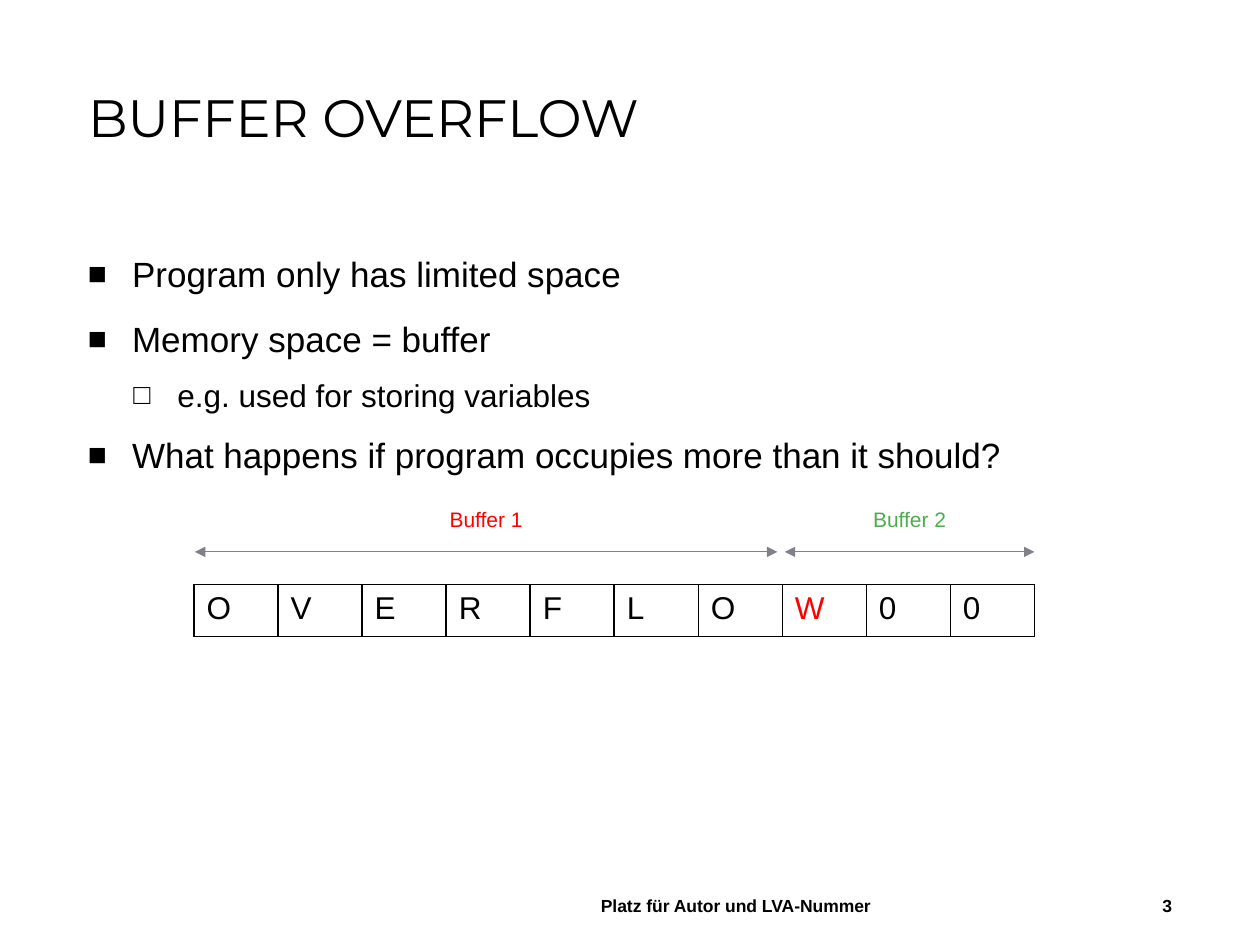
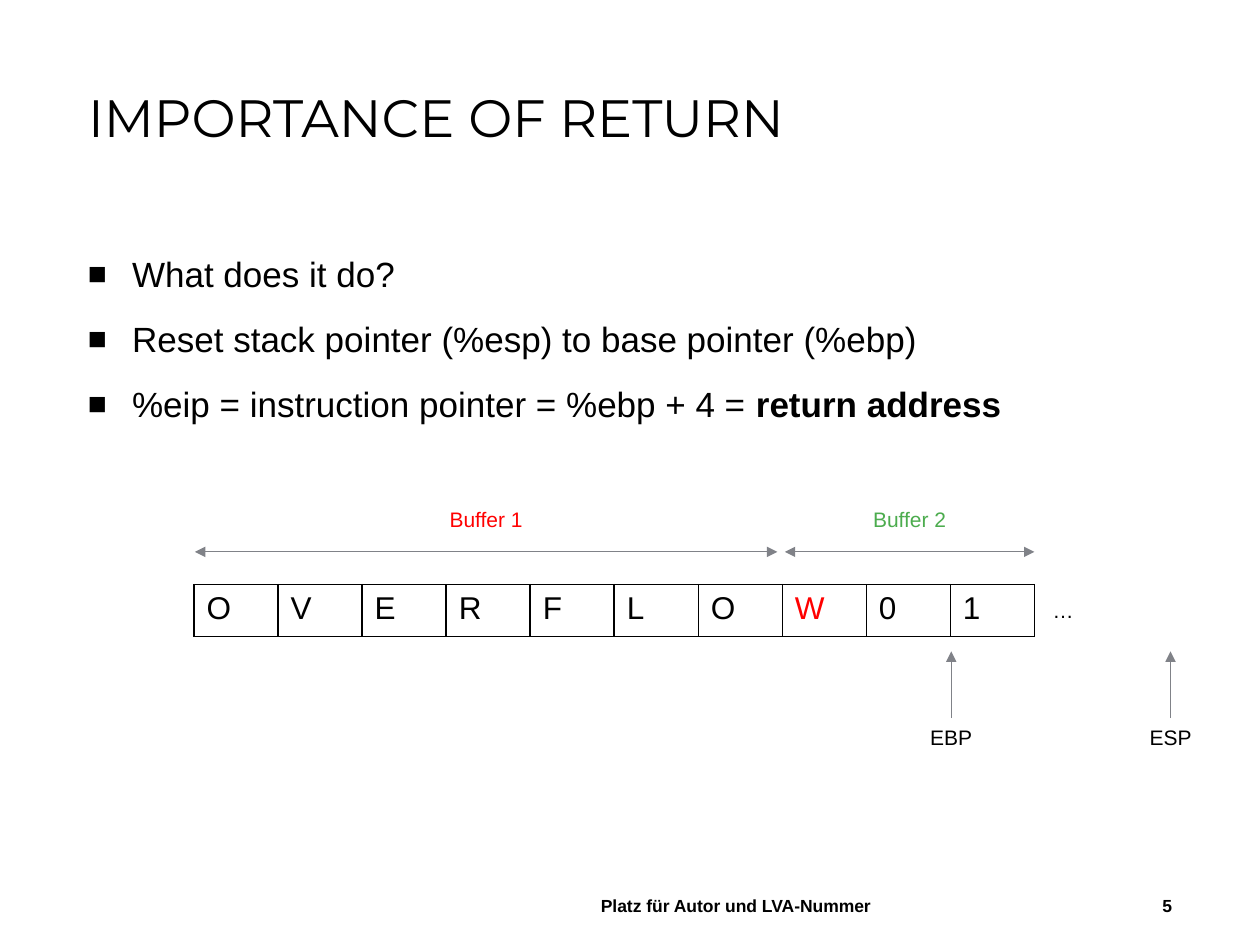
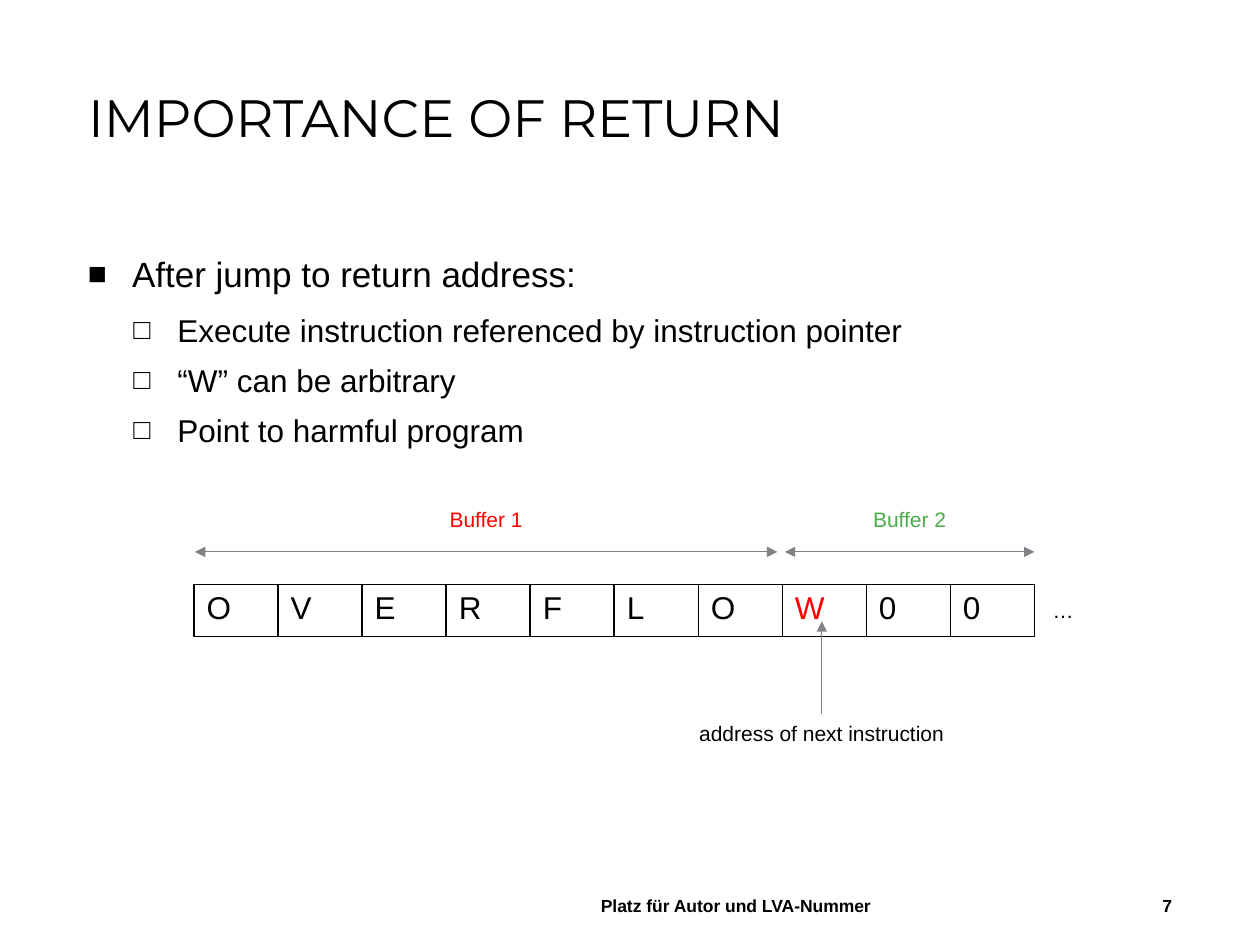
from dataclasses import dataclass

from lxml.etree import SubElement
from pptx import Presentation
from pptx.dml.color import RGBColor
from pptx.enum.shapes import MSO_CONNECTOR
from pptx.enum.text import MSO_ANCHOR as Anchor, MSO_AUTO_SIZE as AutoSize, PP_ALIGN as Align
from pptx.oxml.ns import qn
from pptx.util import Inches, Pt

WIDTH, HEIGHT = 10, 7.5
BLACK, RED, GREEN, GREY = "000000", "FF0000", "4CAC4E", "808288"
BODY_FONT, TITLE_FONT = "Arial", "Montserrat"
FOOTER = "Platz für Autor und LVA-Nummer"

# The memory row is a grid of ten cells
MEMORY_LEFT, MEMORY_TOP = 1.54, 4.64
CELL_COUNT = 10
CELL_WIDTH, CELL_HEIGHT = 6.67 / CELL_COUNT, 0.41
OVERFLOW_COLUMN = 7
SPAN_Y, SPAN_LABEL_Y = 4.38, 3.97
LABEL_HEIGHT = 0.3


@dataclass(frozen=True)
class Level:
    mark: str
    size: int
    indent: float
    before: int
    after: int


@dataclass(frozen=True)
class Point:
    text: str
    level: int = 0
    bold_end: str = ""


@dataclass(frozen=True)
class Buffer:
    name: str
    start: float
    end: float
    color: str


@dataclass(frozen=True)
class Pointer:
    """An arrow that rises from its label to a place in memory."""
    name: str
    column: float
    tip: float
    label_top: float
    label_width: float


@dataclass(frozen=True)
class Page:
    number: int
    title: str
    points: tuple[Point, ...]
    memory: str
    continues: bool = True
    pointers: tuple[Pointer, ...] = ()


LEVELS = (Level("■", 20, 0.35, 6, 6), Level("□", 18, 0.71, 2, 4))
HANGING = 0.35
BUFFERS = (Buffer("Buffer 1", 0.01, 6.94, RED), Buffer("Buffer 2", 7.03, 10, GREEN))
PAGES = (
    Page(3, "BUFFER OVERFLOW", (
        Point("Program only has limited space"),
        Point("Memory space = buffer"),
        Point("e.g. used for storing variables", 1),
        Point("What happens if program occupies more than it should?"),
    ), "OVERFLOW00", continues=False),
    Page(5, "IMPORTANCE OF RETURN", (
        Point("What does it do?"),
        Point("Reset stack pointer (%esp) to base pointer (%ebp)"),
        Point("%eip = instruction pointer = %ebp + 4 = ", bold_end="return address"),
    ), "OVERFLOW01", pointers=(
        Pointer("EBP", 9.01, 5.17, 5.7, 0.54),
        Pointer("ESP", 11.62, 5.17, 5.7, 0.54),
    )),
    Page(7, "IMPORTANCE OF RETURN", (
        Point("After jump to return address:"),
        Point("Execute instruction referenced by instruction pointer", 1),
        Point("“W” can be arbitrary", 1),
        Point("Point to harmful program", 1),
    ), "OVERFLOW00", pointers=(
        Pointer("address of next instruction", 7.47, 4.93, 5.67, 2.16),
    )),
)


def rgb(color: str) -> RGBColor:
    return RGBColor.from_string(color)


def column_x(column: float) -> float:
    return MEMORY_LEFT + column * CELL_WIDTH


def add_run(paragraph, text: str, size: float, color: str = BLACK,
            bold: bool = False, font: str = BODY_FONT) -> None:
    run = paragraph.add_run()
    run.text = text
    run.font.size, run.font.name, run.font.bold = Pt(size), font, bold
    run.font.color.rgb = rgb(color)


def add_box(slide, left: float, top: float, width: float, height: float, wrap: bool = True):
    box = slide.shapes.add_textbox(Inches(left), Inches(top), Inches(width), Inches(height))
    box.text_frame.word_wrap = wrap
    return box


def add_label(slide, text: str, center: float, top: float, width: float, color: str = BLACK):
    label = add_box(slide, center - width / 2, top, width, LABEL_HEIGHT, wrap=False)
    label.text_frame.auto_size = AutoSize.SHAPE_TO_FIT_TEXT
    paragraph = label.text_frame.paragraphs[0]
    paragraph.alignment = Align.CENTER
    add_run(paragraph, text, 12, color)
    return label


def add_arrow(slide, start: tuple[float, float], end: tuple[float, float],
              both_ends: bool = False):
    arrow = slide.shapes.add_connector(
        MSO_CONNECTOR.STRAIGHT, *(Inches(value) for value in (*start, *end)))
    arrow.line.color.rgb = rgb(GREY)
    arrow.line.width = Pt(0.5)
    line = arrow.line._get_or_add_ln()
    for tag in ("a:headEnd", "a:tailEnd") if both_ends else ("a:tailEnd",):
        SubElement(line, qn(tag), type="triangle")
    SubElement(arrow._element.spPr, qn("a:effectLst"))
    return arrow


def add_frame(slide, page: Page) -> None:
    """Draw the title, the footer and the page number."""
    title = add_box(slide, 0.06 * WIDTH, 0.71, 8.68, 1.03).text_frame.paragraphs[0]
    title.line_spacing = 0.83
    add_run(title, page.title, 30, font=TITLE_FONT)
    for text, left, width, alignment in ((FOOTER, 4.67, 3.38, Align.LEFT),
                                         (str(page.number), 8.84, 0.56, Align.RIGHT)):
        frame = add_box(slide, left, 6.99, width, 0.4).text_frame
        frame.vertical_anchor = Anchor.MIDDLE
        frame.paragraphs[0].alignment = alignment
        add_run(frame.paragraphs[0], text, 10, bold=True)


def add_points(slide, points: tuple[Point, ...]) -> None:
    frame = add_box(slide, 0.06 * WIDTH, 1.94, 8.67, 4.54).text_frame
    for index, point in enumerate(points):
        paragraph = frame.add_paragraph() if index else frame.paragraphs[0]
        level = LEVELS[point.level]
        paragraph.level = point.level
        paragraph.line_spacing = 1.05
        paragraph.space_before, paragraph.space_after = Pt(level.before), Pt(level.after)
        properties = paragraph._p.get_or_add_pPr()
        properties.set("marL", str(Inches(level.indent)))
        properties.set("indent", str(-Inches(HANGING)))
        SubElement(properties, qn("a:buSzPct"), val="90000")
        SubElement(properties, qn("a:buFont"), typeface=BODY_FONT)
        SubElement(properties, qn("a:buChar"), char=level.mark)
        add_run(paragraph, point.text, level.size)
        if point.bold_end:
            add_run(paragraph, point.bold_end, level.size, bold=True)


def add_cell_borders(cell) -> None:
    properties = cell._tc.get_or_add_tcPr()
    for index, side in enumerate(("a:lnL", "a:lnR", "a:lnT", "a:lnB")):
        border = SubElement(properties, qn(side), w=str(Pt(1)))
        fill = SubElement(border, qn("a:solidFill"))
        SubElement(fill, qn("a:srgbClr"), val=BLACK)
        properties.insert(index, border)


def add_memory(slide, content: str) -> None:
    table = slide.shapes.add_table(
        1, CELL_COUNT, Inches(MEMORY_LEFT), Inches(MEMORY_TOP),
        Inches(CELL_COUNT * CELL_WIDTH), Inches(CELL_HEIGHT)).table
    table.first_row = table.horz_banding = False
    for column, letter in enumerate(content):
        cell = table.cell(0, column)
        cell.fill.background()
        add_cell_borders(cell)
        add_run(cell.text_frame.paragraphs[0], letter, 18,
                RED if column == OVERFLOW_COLUMN else BLACK)


def add_buffer(slide, buffer: Buffer) -> None:
    left, right = column_x(buffer.start), column_x(buffer.end)
    add_arrow(slide, (left, SPAN_Y), (right, SPAN_Y), both_ends=True)
    add_label(slide, buffer.name, (left + right) / 2, SPAN_LABEL_Y, 0.79, buffer.color)


def add_pointer(slide, pointer: Pointer) -> None:
    x = column_x(pointer.column)
    label = add_label(slide, pointer.name, x, pointer.label_top, pointer.label_width)
    arrow = add_arrow(slide, (x, pointer.label_top), (x, pointer.tip))
    arrow.begin_connect(label, 0)


def main() -> None:
    deck = Presentation()
    deck.slide_width, deck.slide_height = Inches(WIDTH), Inches(HEIGHT)
    for page in PAGES:
        slide = deck.slides.add_slide(deck.slide_layouts[6])
        add_frame(slide, page)
        add_points(slide, page.points)
        add_memory(slide, page.memory)
        for buffer in BUFFERS:
            add_buffer(slide, buffer)
        for pointer in page.pointers:
            add_pointer(slide, pointer)
        if page.continues:
            add_label(slide, "…", column_x(10.34), 4.69, 0.37)
    deck.save("out.pptx")


if __name__ == "__main__":
    main()
